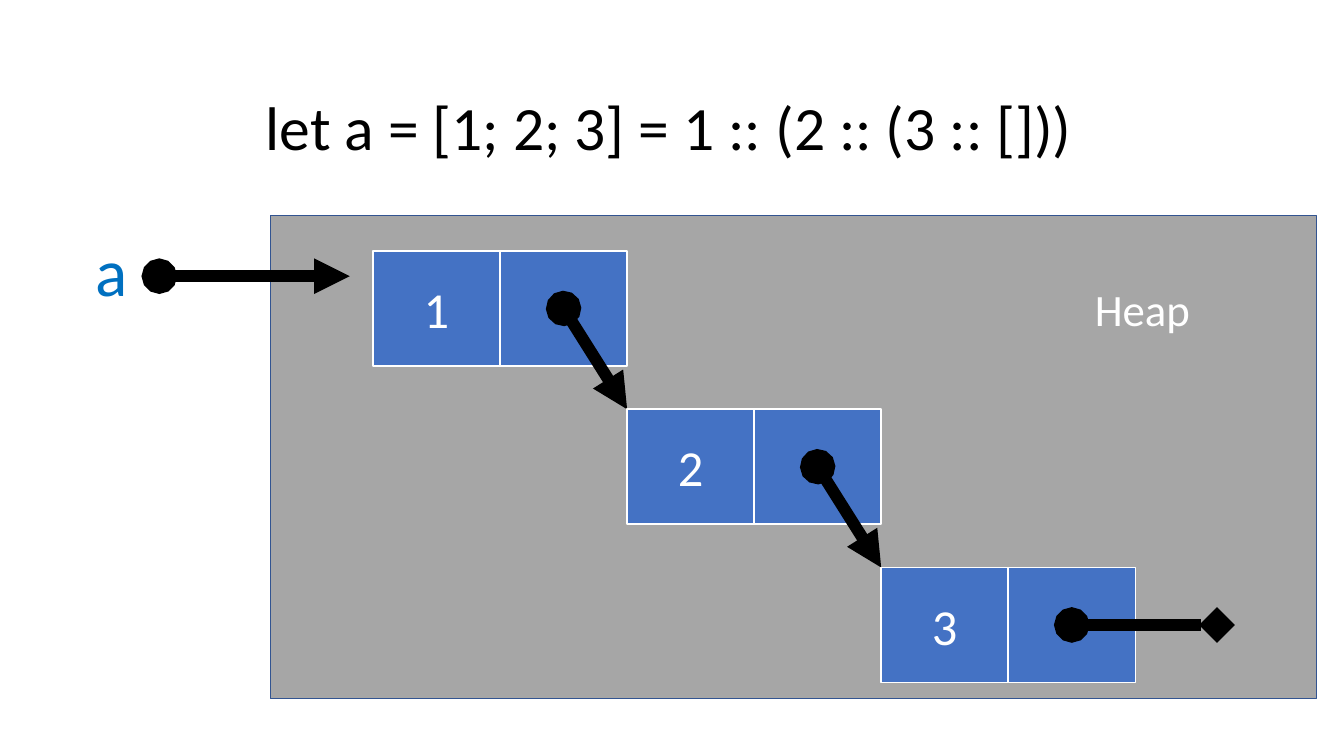
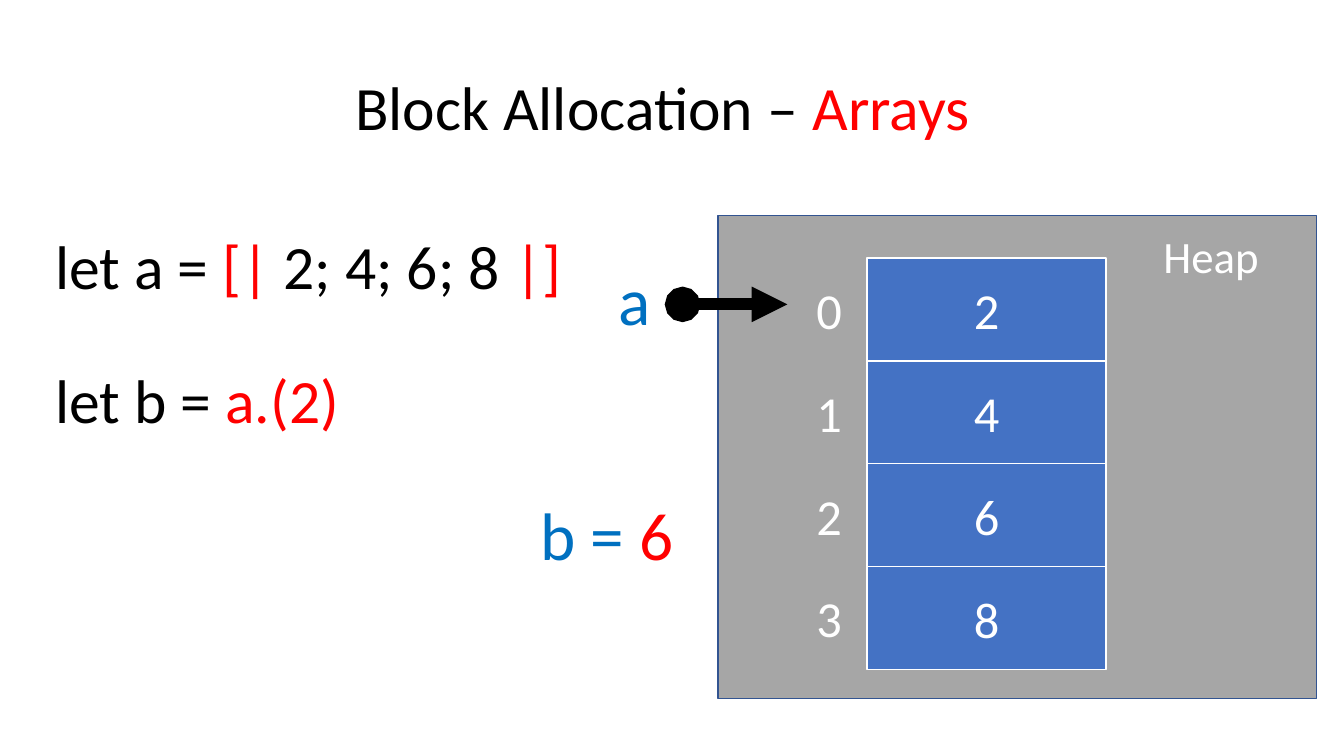
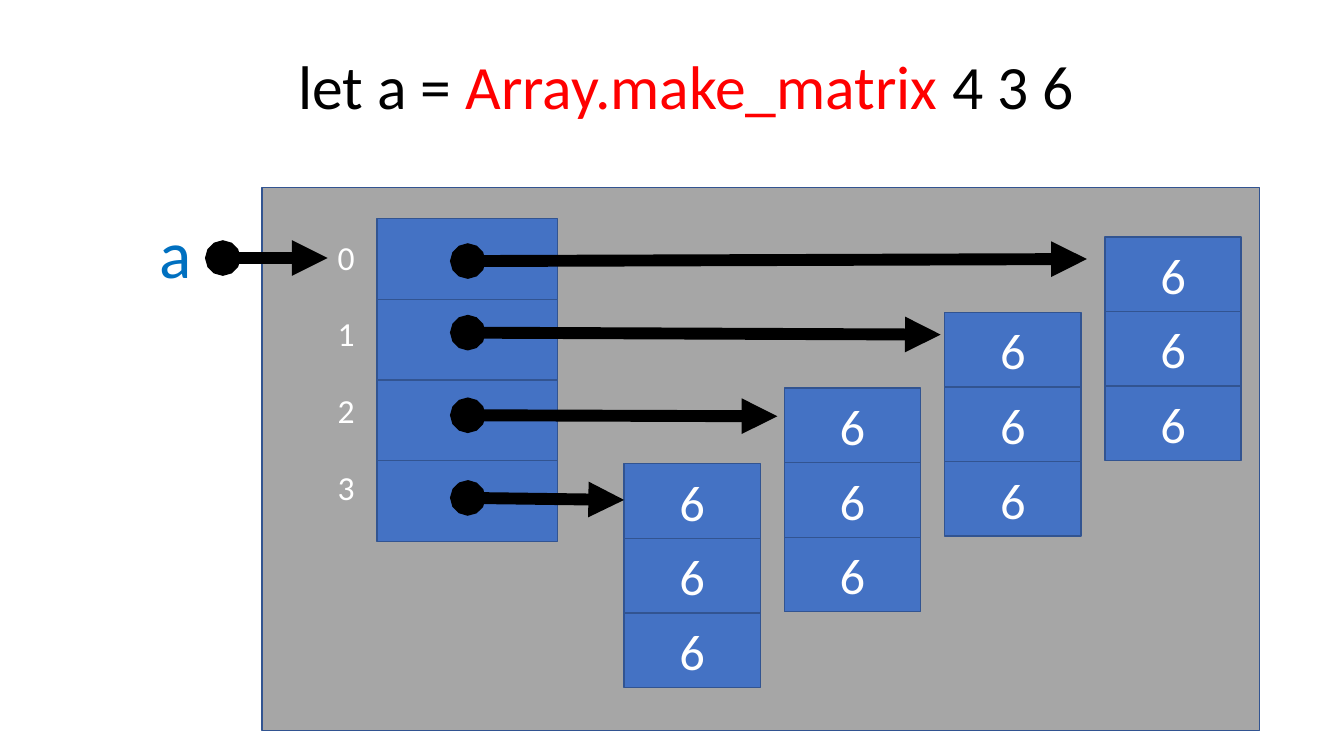
"""Build three slides on how lists, arrays and matrices are laid out on the heap."""
from pptx import Presentation
from pptx.dml.color import RGBColor
from pptx.enum.shapes import MSO_CONNECTOR, MSO_SHAPE
from pptx.enum.text import MSO_ANCHOR, MSO_AUTO_SIZE, PP_ALIGN
from pptx.oxml.ns import qn
from pptx.util import Inches, Pt
from lxml import etree

STRAIGHT = MSO_CONNECTOR.STRAIGHT
RECTANGLE = MSO_SHAPE.RECTANGLE
MIDDLE, TOP = MSO_ANCHOR.MIDDLE, MSO_ANCHOR.TOP
CENTER, LEFT = PP_ALIGN.CENTER, PP_ALIGN.LEFT
NO_AUTOFIT = MSO_AUTO_SIZE.NONE
TITLE_ONLY = 5

FONT = "Calibri"
BLACK = RGBColor(0x00, 0x00, 0x00)
WHITE = RGBColor(0xFF, 0xFF, 0xFF)
RED = RGBColor(0xFF, 0x00, 0x00)
NAME_BLUE = RGBColor(0x00, 0x70, 0xC0)
CELL_BLUE = RGBColor(0x44, 0x72, 0xC4)
EDGE_BLUE = RGBColor(0x32, 0x54, 0x91)
HEAP_GRAY = RGBColor(0xA6, 0xA6, 0xA6)

CODE_SIZE, NAME_SIZE, VALUE_SIZE, HEAP_SIZE, INDEX_SIZE = 44, 48, 36, 32, 24

LIST_TITLE = [("let a = [1; 2; 3] = 1 :: (2 :: (3 :: []))", BLACK)]
LIST_VALUES = ["1", "2", "3"]

ARRAY_TITLE = [("Block Allocation – ", BLACK), ("Arrays ", RED)]
ARRAY_CODE = [
    [("let a = ", BLACK), ("[| ", RED), ("2; 4; 6; 8 ", BLACK), ("|]", RED)],
    [("let b = ", BLACK), ("a.(2)", RED)],
]
ARRAY_RESULT = [("b = ", NAME_BLUE), ("6", RED)]
ARRAY_VALUES = ["2", "4", "6", "8"]

MATRIX_TITLE = [("let a = ", BLACK), ("Array.make_matrix ", RED), ("4 3 6", BLACK)]
MATRIX_ROWS = [["6"] * 3 for _ in range(4)]
MATRIX_POINTERS = [
    ((4.64, 2.59), (10.78, 2.57)),
    ((4.64, 3.30), (9.33, 3.32)),
    ((4.64, 4.12), (7.71, 4.13)),
    ((4.64, 4.94), (6.19, 4.96)),
]


def inches(values):
    return [Inches(value) for value in values]


def write(text_frame, lines, size, align=LEFT, anchor=TOP, spacing=None, gap=0):
    """Fill a text frame with lines made of (text, colour) pieces."""
    text_frame.auto_size = NO_AUTOFIT
    text_frame.vertical_anchor = anchor
    for number, pieces in enumerate(lines):
        paragraph = text_frame.add_paragraph() if number else text_frame.paragraphs[0]
        paragraph.alignment = align
        if spacing:
            paragraph.line_spacing = spacing
        if number:
            paragraph.space_before = Pt(gap)
        for text, color in pieces:
            run = paragraph.add_run()
            run.text = text
            run.font.name = FONT
            run.font.size = Pt(size)
            run.font.color.rgb = color


def add_titled_slide(presentation, pieces, box):
    slide = presentation.slides.add_slide(presentation.slide_layouts[TITLE_ONLY])
    title = slide.shapes.title
    title.left, title.top, title.width, title.height = inches(box)
    write(title.text_frame, [pieces], CODE_SIZE, CENTER, MIDDLE, 0.9)
    return slide


def add_label(slide, box, lines, size, wrap=True, **style):
    text_frame = slide.shapes.add_textbox(*inches(box)).text_frame
    text_frame.word_wrap = wrap
    write(text_frame, lines, size, **style)


def add_box(slide, box, fill, edge, text=""):
    shape = slide.shapes.add_shape(RECTANGLE, *inches(box))
    shape.shadow.inherit = False
    shape.fill.solid()
    shape.fill.fore_color.rgb = fill
    shape.line.color.rgb = edge
    shape.line.width = Pt(1)
    if text:
        write(shape.text_frame, [[(text, WHITE)]], VALUE_SIZE, CENTER, MIDDLE)


def add_pointer(slide, start, end, tail="triangle"):
    connector = slide.shapes.add_connector(STRAIGHT, *inches(start + end))
    connector.line.color.rgb = BLACK
    connector.line.width = Pt(8.5)
    line = connector.line._get_or_add_ln()
    etree.SubElement(line, qn("a:headEnd"), type="oval")
    etree.SubElement(line, qn("a:tailEnd"), type=tail)
    etree.SubElement(connector._element.spPr, qn("a:effectLst"))


def add_variable(slide, left, top, length):
    """Draw the name a and the pointer that starts beside it."""
    add_label(slide, (left, top, 0.56, 0.91), [[("a", NAME_BLUE)]], NAME_SIZE)
    start = left + 0.73
    middle = top + 0.51
    add_pointer(slide, (start, middle), (start + length, middle))


def add_heap_label(slide, left, top):
    add_label(slide, (left, top, 1.16, 0.64), [[("Heap", WHITE)]], HEAP_SIZE, wrap=False)


def add_column(slide, left, top, width, height, step, edge, values):
    for row, value in enumerate(values):
        add_box(slide, (left, top + row * step, width, height), CELL_BLUE, edge, value)


def add_indices(slide, left, top, width, height, step, size, count):
    for index in range(count):
        box = (left, top + index * step, width, height)
        add_label(slide, box, [[(str(index), WHITE)]], size)


def build_list_slide(presentation):
    slide = add_titled_slide(presentation, LIST_TITLE, (0.89, 0.57, 11.5, 1.45))
    add_box(slide, (2.68, 2.14, 10.38, 4.79), HEAP_GRAY, EDGE_BLUE)
    add_variable(slide, 0.85, 2.23, 1.89)
    add_heap_label(slide, 10.76, 2.75)
    cell_width, cell_height, drop = 1.26, 1.14, 1.57
    for number, value in enumerate(LIST_VALUES):
        left = 3.7 + number * 2 * cell_width
        top = 2.49 + number * drop
        for column, text in enumerate((value, "")):
            box = (left + column * cell_width, top, cell_width, cell_height)
            add_box(slide, box, CELL_BLUE, WHITE, text)
        start = (left + 1.5 * cell_width, top + cell_height / 2)
        if number < len(LIST_VALUES) - 1:
            add_pointer(slide, start, (left + 2 * cell_width, top + drop))
        else:
            add_pointer(slide, start, (start[0] + 1.44, start[1]), "diamond")


def build_array_slide(presentation):
    slide = add_titled_slide(presentation, ARRAY_TITLE, (0.89, 0.37, 11.5, 1.45))
    add_box(slide, (7.12, 2.14, 5.94, 4.79), HEAP_GRAY, EDGE_BLUE)
    add_variable(slide, 6.04, 2.51, 1.04)
    add_heap_label(slide, 11.44, 2.22)
    add_label(slide, (5.26, 4.84, 1.72, 0.91), [ARRAY_RESULT], NAME_SIZE)
    add_label(slide, (0.45, 1.66, 5.24, 3.36), ARRAY_CODE, CODE_SIZE,
              anchor=MIDDLE, spacing=0.9, gap=48)
    add_indices(slide, 8, 2.72, 0.53, 0.71, 1.02, VALUE_SIZE, len(ARRAY_VALUES))
    add_column(slide, 8.6, 2.56, 2.37, 1.02, 1.02, WHITE, ARRAY_VALUES)


def build_matrix_slide(presentation):
    slide = add_titled_slide(presentation, MATRIX_TITLE, (0.46, 0.59, 12.69, 0.59))
    add_box(slide, (2.6, 1.86, 9.89, 5.39), HEAP_GRAY, EDGE_BLUE)
    add_variable(slide, 1.48, 2.05, 1.04)
    add_column(slide, 3.74, 2.17, 1.79, 0.8, 0.8, EDGE_BLUE, [""] * len(MATRIX_ROWS))
    add_indices(slide, 3.25, 2.3, 0.33, 0.5, 0.76, INDEX_SIZE, len(MATRIX_ROWS))
    for number, values in enumerate(MATRIX_ROWS):
        left = 10.96 - number * 1.59
        top = 2.35 + number * 0.75
        add_column(slide, left, top, 1.35, 0.74, 0.74, EDGE_BLUE, values)
    for start, end in MATRIX_POINTERS:
        add_pointer(slide, start, end)


def main():
    presentation = Presentation()
    presentation.slide_width = Inches(13.33)
    presentation.slide_height = Inches(7.5)
    build_list_slide(presentation)
    build_array_slide(presentation)
    build_matrix_slide(presentation)
    presentation.save("out.pptx")


if __name__ == "__main__":
    main()
